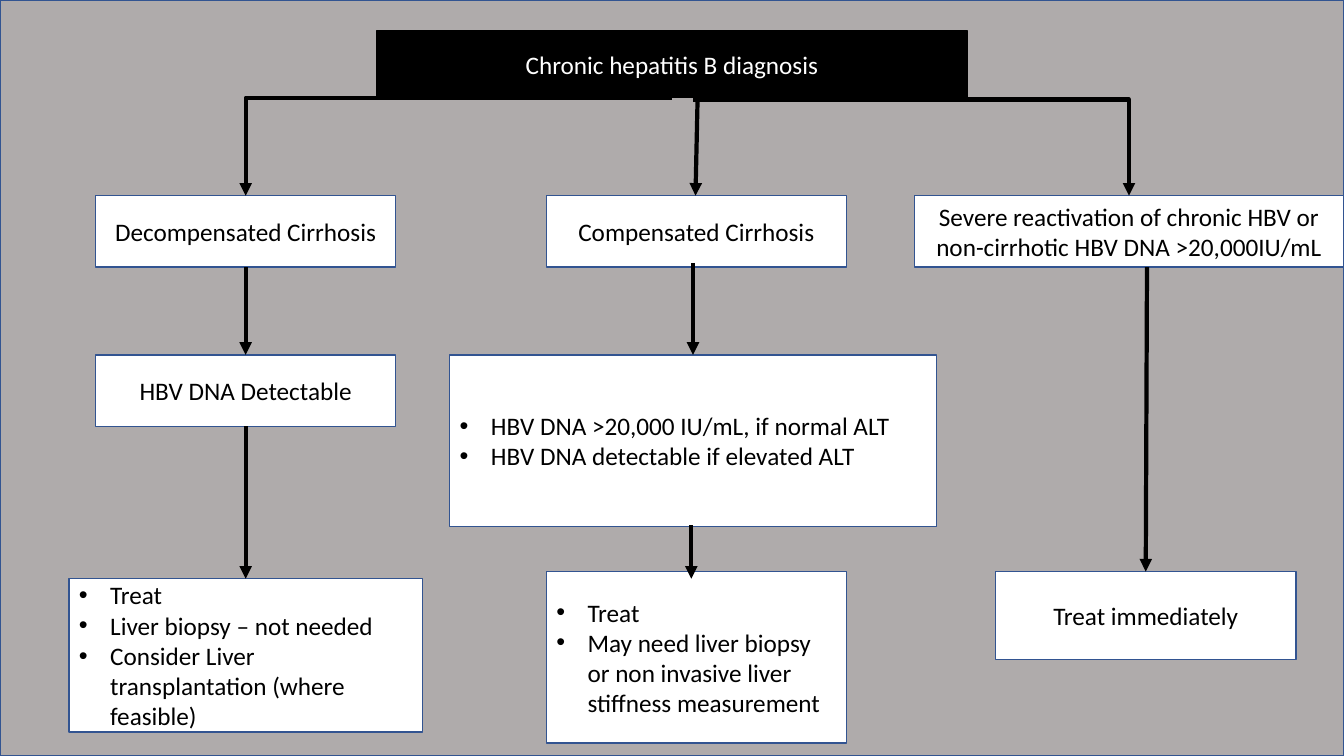
from dataclasses import dataclass

from lxml import etree
from pptx import Presentation, util as u
from pptx.dml.color import RGBColor
from pptx.enum import shapes, text
from pptx.oxml.ns import qn


@dataclass(frozen=True)
class Theme:
    black: str = "000000"
    white: str = "FFFFFF"
    gray: str = "AFABAB"
    blue: str = "325491"
    font: str = "Calibri"
    size: float = 18
    border: float = 1
    arrow: float = 3
    indent: float = 0.31


@dataclass(frozen=True)
class Box:
    """A flowchart step: centre column, top row, width and height in grid units."""
    center: float
    top: float
    width: float
    height: float
    lines: tuple[str, ...]
    bullets: bool = False


@dataclass(frozen=True)
class Arrow:
    x1: float
    y1: float
    x2: float
    y2: float
    bent: bool = False


THEME = Theme()
WIDTH, HEIGHT = u.Inches(13.33), u.Inches(7.5)
COLUMNS, ROWS = 32, 18
LEFT, MIDDLE, RIGHT = 5.85, 16.5, 27.28
STAGE, TEST, TREAT = 4.66, 8.45, 13.61
STEP_W, STEP_H, LIST_H = 7.15, 1.7, 4.08
LIST_TOP = 13.78

TITLE = Box(16, 0.74, 14.06, 1.58, ("Chronic hepatitis B diagnosis",))
BOXES = (
    Box(LEFT, STAGE, STEP_W, STEP_H, ("Decompensated Cirrhosis",)),
    Box(16.58, STAGE, STEP_W, STEP_H, ("Compensated Cirrhosis",)),
    Box(26.88, STAGE, 10.22, STEP_H,
        ("Severe reactivation of chronic HBV or non-cirrhotic HBV DNA >20,000IU/mL",)),
    Box(LEFT, TEST, STEP_W, STEP_H, ("HBV DNA Detectable",)),
    Box(MIDDLE, TEST, 11.59, LIST_H,
        ("HBV DNA >20,000 IU/mL, if normal ALT",
         "HBV DNA detectable if elevated ALT"), bullets=True),
    Box(LEFT, LIST_TOP, 8.42, 3.65,
        ("Treat", "Liver biopsy – not needed",
         "Consider Liver transplantation (where feasible)"), bullets=True),
    Box(16.58, TREAT, STEP_W, LIST_H,
        ("Treat",
         "May need liver biopsy or non invasive liver stiffness measurement"), bullets=True),
    Box(RIGHT, TREAT, STEP_W, 2.09, ("Treat immediately",)),
)
ARROWS = (
    Arrow(16, 2.33, LEFT, STAGE, bent=True),
    Arrow(LEFT, STAGE + STEP_H, LEFT, TEST),
    Arrow(LEFT, TEST + STEP_H, LEFT, LIST_TOP),
    Arrow(16.61, 2.33, 16.56, STAGE),
    Arrow(MIDDLE, 6.26, MIDDLE, TEST),
    Arrow(16.46, 12.51, 16.46, LIST_TOP),
    Arrow(27.31, STAGE + STEP_H, RIGHT, TREAT),
    Arrow(MIDDLE, 2.37, 26.88, STAGE, bent=True),
)


def col(n: float) -> int:
    return round(WIDTH * n / COLUMNS)


def row(n: float) -> int:
    return round(HEIGHT * n / ROWS)


def paint(sp, fill: str, line: str) -> None:
    sp.fill.solid()
    sp.fill.fore_color.rgb = RGBColor.from_string(fill)
    sp.line.color.rgb = RGBColor.from_string(line)
    sp.line.width = u.Pt(THEME.border)


def add_rect(s, x: float, y: float, w: float, h: float):
    sp = s.shapes.add_shape(shapes.MSO_SHAPE.RECTANGLE, col(x), row(y), col(w), row(h))
    sp.shadow.inherit = False
    return sp


def write(sp, lines: tuple[str, ...], *, color: str, bullets: bool = False) -> None:
    tf = sp.text_frame
    tf.text = "\n".join(lines)
    tf.word_wrap = True
    tf.auto_size = text.MSO_AUTO_SIZE.NONE
    tf.vertical_anchor = text.MSO_ANCHOR.MIDDLE
    for p in tf.paragraphs:
        p.alignment = text.PP_ALIGN.LEFT if bullets else text.PP_ALIGN.CENTER
        p.line_spacing = 1.0
        p.space_before = p.space_after = u.Pt(0)
        for r in p.runs:
            r.font.name, r.font.size, r.font.bold = THEME.font, u.Pt(THEME.size), False
            r.font.color.rgb = RGBColor.from_string(color)
        if bullets:
            pPr = p._p.get_or_add_pPr()
            pPr.set("marL", str(u.Inches(THEME.indent)))
            pPr.set("indent", str(-u.Inches(THEME.indent)))
            etree.SubElement(pPr, qn("a:buFont"), typeface="Arial")
            etree.SubElement(pPr, qn("a:buChar"), char="•")


def draw_box(s, box: Box, *, fill: str, line: str, color: str, holder=None) -> None:
    """Draw a step, in the given placeholder if there is one."""
    x = box.center - box.width / 2
    sp = holder or add_rect(s, x, box.top, box.width, box.height)
    sp.left, sp.top = col(x), row(box.top)
    sp.width, sp.height = col(box.width), row(box.height)
    paint(sp, fill, line)
    write(sp, box.lines, color=color, bullets=box.bullets)


def draw_arrow(s, arrow: Arrow) -> None:
    c = s.shapes.add_connector(
        shapes.MSO_CONNECTOR.ELBOW if arrow.bent else shapes.MSO_CONNECTOR.STRAIGHT,
        col(arrow.x1), row(arrow.y1), col(arrow.x2), row(arrow.y2))
    c.line.color.rgb = RGBColor.from_string(THEME.black)
    c.line.width = u.Pt(THEME.arrow)
    spPr = c._element.spPr
    if arrow.bent:
        spPr.find(qn("a:prstGeom")).set("prst", "bentConnector2")
    etree.SubElement(c.line._get_or_add_ln(), qn("a:tailEnd"), type="triangle")
    etree.SubElement(spPr, qn("a:effectLst"))


def main() -> None:
    prs = Presentation()
    prs.slide_width, prs.slide_height = WIDTH, HEIGHT
    s = prs.slides.add_slide(prs.slide_layouts.get_by_name("Comparison"))
    title, *bodies = s.placeholders

    backdrop = add_rect(s, 0, 0, COLUMNS, ROWS)
    paint(backdrop, THEME.gray, THEME.blue)
    title._element.addprevious(backdrop._element)

    draw_box(s, TITLE, fill=THEME.black, line=THEME.black, color=THEME.white, holder=title)
    for box in BOXES:
        draw_box(s, box, fill=THEME.white, line=THEME.blue, color=THEME.black,
                 holder=bodies.pop(0) if box.bullets else None)
    for unused in bodies:
        unused._element.getparent().remove(unused._element)
    for arrow in ARROWS:
        draw_arrow(s, arrow)
    prs.save("out.pptx")


if __name__ == "__main__":
    main()
